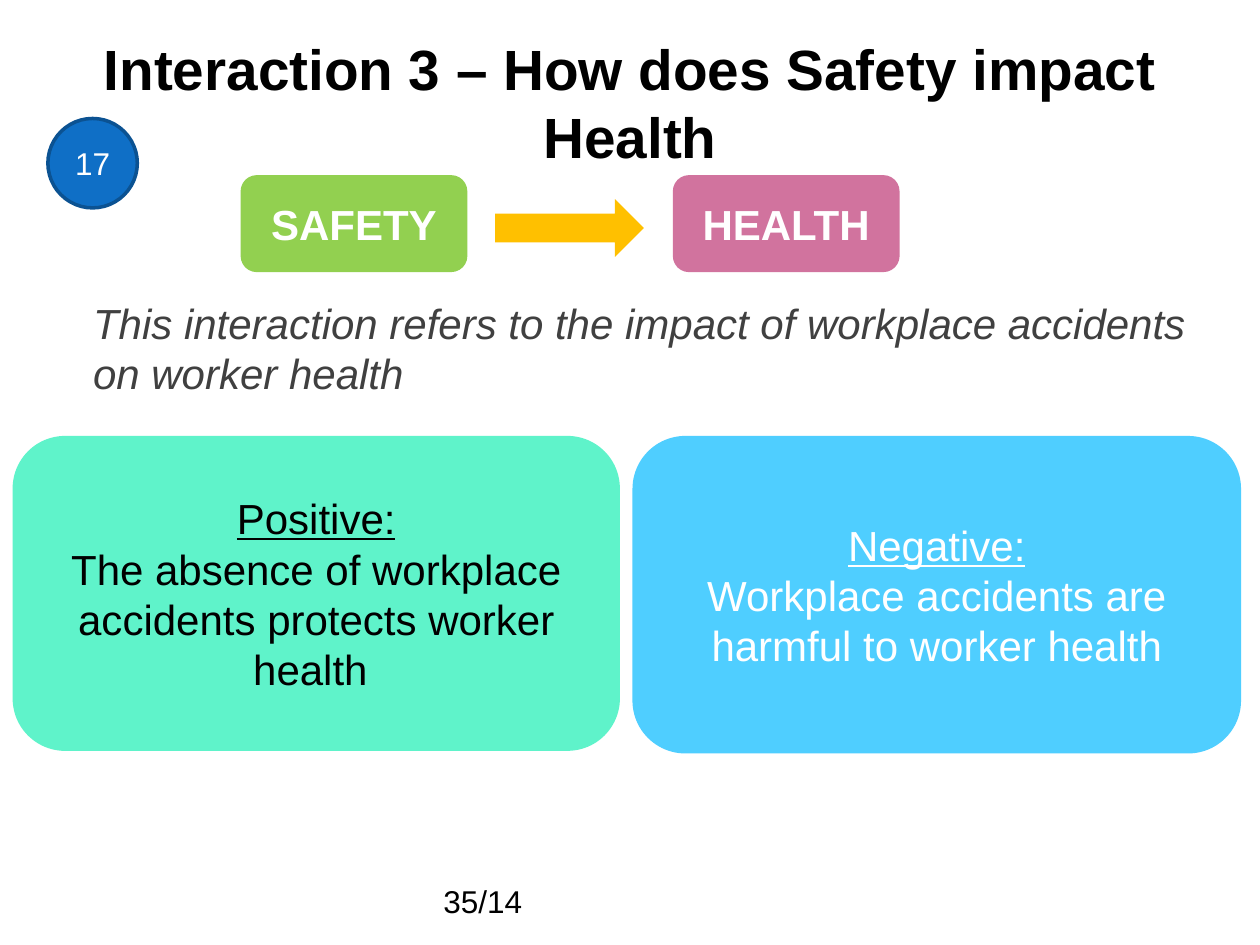
import pptx
import pptx.util
import pptx.dml.color
import pptx.enum.shapes
import pptx.enum.text

Inches = pptx.util.Inches
Pt = pptx.util.Pt
RGBColor = pptx.dml.color.RGBColor
MSO_SHAPE = pptx.enum.shapes.MSO_SHAPE
PP_ALIGN = pptx.enum.text.PP_ALIGN
MSO_ANCHOR = pptx.enum.text.MSO_ANCHOR

BLACK = RGBColor(0x00, 0x00, 0x00)
WHITE = RGBColor(0xFF, 0xFF, 0xFF)
GREY = RGBColor(0x40, 0x40, 0x40)
MINT = RGBColor(0x5F, 0xF3, 0xCA)
SKY = RGBColor(0x4F, 0xCE, 0xFF)
GREEN = RGBColor(0x92, 0xD0, 0x50)
PINK = RGBColor(0xD1, 0x73, 0x9E)
AMBER = RGBColor(0xFF, 0xC0, 0x00)
BLUE = RGBColor(0x0F, 0x6F, 0xC6)
NAVY = RGBColor(0x0B, 0x52, 0x92)


def write(sp, lines, size, color, align=PP_ALIGN.CENTER,
          anchor=MSO_ANCHOR.MIDDLE, bold=False, italic=False):
    tf = sp.text_frame
    tf.word_wrap = True
    tf.vertical_anchor = anchor
    for i, line in enumerate(lines):
        p = tf.paragraphs[0] if i == 0 else tf.add_paragraph()
        p.text = line
        p.alignment = align
        p.font.name = "Arial"
        p.font.size = Pt(size)
        p.font.bold = bold
        p.font.italic = italic
        p.font.color.rgb = color


def add_text(s, box, text, size, color, **style):
    sp = s.shapes.add_textbox(*map(Inches, box))
    write(sp, [text], size, color, **style)


def add_shape(s, kind, box, fill):
    sp = s.shapes.add_shape(kind, *map(Inches, box))
    sp.shadow.inherit = False
    sp.fill.solid()
    sp.fill.fore_color.rgb = fill
    sp.line.fill.background()
    return sp


def add_effect_card(s, box, fill, color, heading, body):
    sp = add_shape(s, MSO_SHAPE.ROUNDED_RECTANGLE, box, fill)
    write(sp, [heading, body], 24, color)
    sp.text_frame.paragraphs[0].font.underline = True


def add_topic(s, left, fill, label):
    sp = add_shape(s, MSO_SHAPE.ROUNDED_RECTANGLE, (left, 1.39, 1.8, 0.77), fill)
    write(sp, [label], 24, WHITE, bold=True)


def add_badge(s, box, label):
    sp = add_shape(s, MSO_SHAPE.OVAL, box, BLUE)
    sp.line.color.rgb = NAVY
    sp.line.width = Pt(2)
    write(sp, [label], 18, WHITE)


def main():
    prs = pptx.Presentation()
    prs.slide_width = Inches(10)
    prs.slide_height = Inches(7.5)
    s = prs.slides.add_slide(prs.slide_layouts[6])
    s.background.fill.solid()
    s.background.fill.fore_color.rgb = WHITE

    add_text(s, (0.5, 0.18, 9, 1.25),
             "Interaction 3 – How does Safety impact Health", 32.4, BLACK, bold=True)
    add_text(s, (0.64, 2.31, 9.25, 1),
             "This interaction refers to the impact of workplace accidents on worker health",
             24, GREY, align=PP_ALIGN.LEFT, anchor=MSO_ANCHOR.TOP, italic=True)
    add_effect_card(s, (0.1, 3.46, 4.82, 2.5), MINT, BLACK, "Positive:",
                    "The absence of workplace accidents protects worker health ")
    add_effect_card(s, (5.02, 3.46, 4.83, 2.52), SKY, WHITE, "Negative:",
                    "Workplace accidents are harmful to worker health")
    add_topic(s, 1.91, GREEN, "SAFETY")
    add_topic(s, 5.34, PINK, "HEALTH")
    add_shape(s, MSO_SHAPE.RIGHT_ARROW, (3.93, 1.58, 1.18, 0.46), AMBER)
    add_text(s, (3.42, 6.95, 3.17, 0.4), "35/14", 18, BLACK,
             align=PP_ALIGN.LEFT, anchor=MSO_ANCHOR.TOP)
    add_badge(s, (0.38, 0.94, 0.71, 0.71), "17")

    prs.save("out.pptx")


if __name__ == "__main__":
    main()
